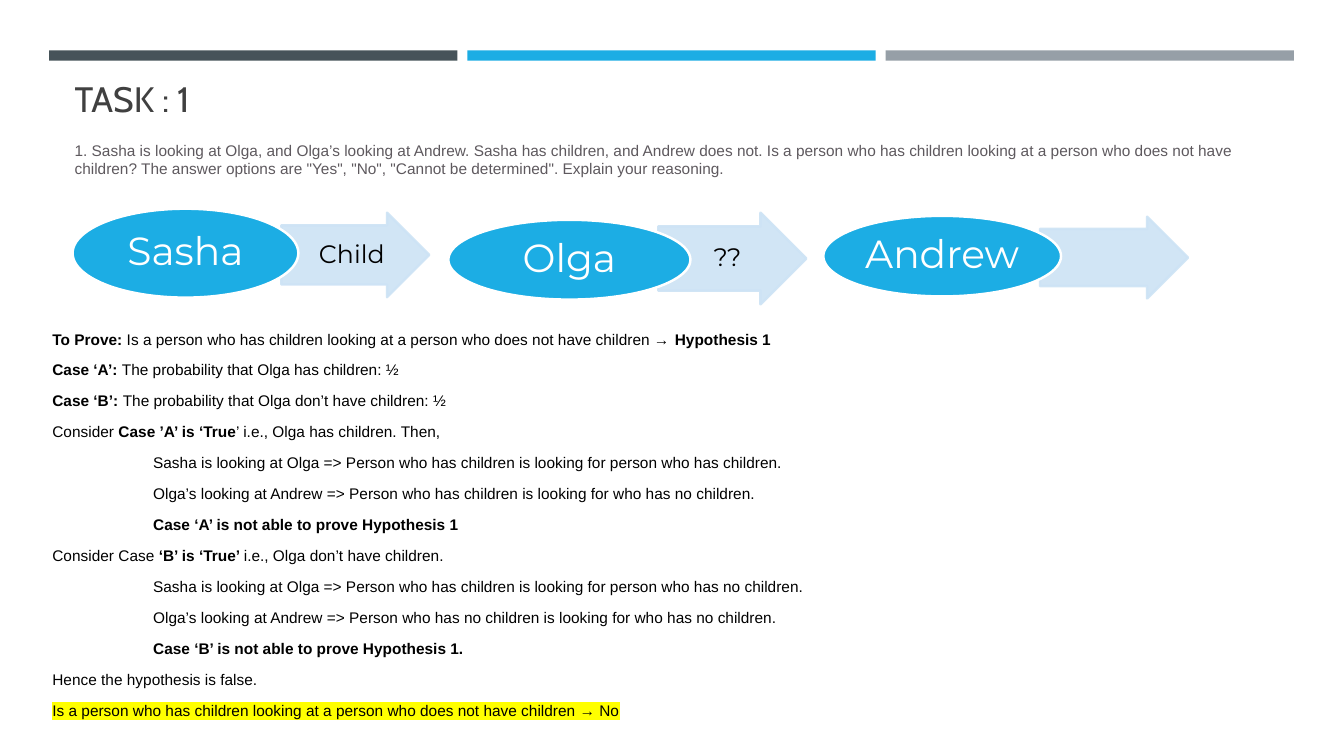
from lxml import etree
from pptx import Presentation
from pptx.dml.color import RGBColor
from pptx.enum.shapes import MSO_SHAPE
from pptx.enum.text import MSO_ANCHOR, PP_ALIGN
from pptx.oxml.ns import qn
from pptx.util import Cm, Pt

RECT, OVAL, ARROW = MSO_SHAPE.RECTANGLE, MSO_SHAPE.OVAL, MSO_SHAPE.RIGHT_ARROW
CENTER = PP_ALIGN.CENTER
TOP, MIDDLE, BOTTOM = MSO_ANCHOR.TOP, MSO_ANCHOR.MIDDLE, MSO_ANCHOR.BOTTOM

SLATE = RGBColor(0x46, 0x53, 0x59)
BLUE = RGBColor(0x1C, 0xAD, 0xE4)
GRAY = RGBColor(0x96, 0x9F, 0xA7)
PALE = RGBColor(0xCD, 0xE3, 0xF5)
DARK = RGBColor(0x40, 0x40, 0x40)
MUTED = RGBColor(0x5E, 0x59, 0x5E)
BLACK = RGBColor(0, 0, 0)
WHITE = RGBColor(0xFF, 0xFF, 0xFF)

TASK = (
    "1. Sasha is looking at Olga, and Olga’s looking at Andrew. Sasha has children, "
    "and Andrew does not. Is a person who has children looking at a person who does "
    "not have children? The answer options are \"Yes\", \"No\", \"Cannot be "
    "determined\". Explain your reasoning."
)

# Name, oval box, arrow label, arrow box
CHAIN = [
    ("Sasha", (1.83, 5.26, 5.69, 2.24), "Child", (7.09, 5.36, 3.73, 2.13)),
    ("Olga", (11.3, 5.54, 6.1, 2.01), "??", (16.59, 5.36, 3.73, 2.31)),
    ("Andrew", (20.75, 5.44, 5.99, 2.03), "", (26.21, 5.46, 3.73, 2.06)),
]

# Indent level and text; ** switches bold on and off
PROOF = [
    (0, "**To Prove: **Is a person who has children looking at a person who does "
        "not have children → **Hypothesis 1**"),
    (0, "**Case ‘A’: **The probability that Olga has children: ½"),
    (0, "**Case ‘B’: **The probability that Olga don’t have children: ½"),
    (0, "Consider **Case ’A’ is ‘True**’ i.e., Olga has children. Then,"),
    (1, "Sasha is looking at Olga => Person who has children is looking for person "
        "who has children."),
    (1, "Olga’s looking at Andrew => Person who has children is looking for who has "
        "no children."),
    (1, "**Case ‘A’ is not able to prove Hypothesis 1**"),
    (0, "Consider Case **‘B’ is ‘True’ **i.e., Olga don’t have children."),
    (1, "Sasha is looking at Olga => Person who has children is looking for person "
        "who has no children."),
    (1, "Olga’s looking at Andrew => Person who has no children is looking for who "
        "has no children."),
    (1, "**Case ‘B’ is not able to prove Hypothesis 1.**"),
    (0, "Hence the hypothesis is false."),
]
ANSWER = ("Is a person who has children looking at a person who does not have "
          "children → No")


def style(run, font, size, color, bold=False):
    run.font.name = font
    run.font.size = Pt(size)
    run.font.color.rgb = color
    run.font.bold = bold


def fade(part):
    """Make every colour under this XML element 90% opaque."""
    for color in part.iter(qn("a:srgbClr")):
        etree.SubElement(color, qn("a:alpha")).set("val", "90000")


def mark(run):
    """Put a yellow highlight behind a run that has a colour."""
    light = etree.Element(qn("a:highlight"))
    etree.SubElement(light, qn("a:srgbClr")).set("val", "FFFF00")
    run.font.fill._xPr.find(qn("a:solidFill")).addnext(light)


def add_block(slide, kind, box, fill, edge=None):
    block = slide.shapes.add_shape(kind, *map(Cm, box))
    block.shadow.inherit = False
    block.fill.solid()
    block.fill.fore_color.rgb = fill
    if edge is None:
        block.line.fill.background()
    else:
        block.line.color.rgb = edge
        block.line.width = Pt(1.75)
    return block


def set_label(block, text, size, color, left=0.05, right=0.05):
    frame = block.text_frame
    frame.word_wrap = False
    frame.vertical_anchor = MIDDLE
    frame.margin_left, frame.margin_right = Cm(left), Cm(right)
    frame.margin_top = frame.margin_bottom = Cm(0.05)
    frame.text = text
    para = frame.paragraphs[0]
    para.alignment = CENTER
    para.line_spacing = 0.9
    style(para.runs[0], "Montserrat", size, color)


def add_frame(slide, box, anchor=TOP):
    frame = slide.shapes.add_textbox(*map(Cm, box)).text_frame
    frame.word_wrap = True
    frame.vertical_anchor = anchor
    return frame


def add_text(slide, box, text, font, size, color, anchor=TOP):
    frame = add_frame(slide, box, anchor)
    frame.text = text
    style(frame.paragraphs[0].runs[0], font, size, color)


def add_arrow(slide, box, text):
    arrow = add_block(slide, ARROW, box, PALE, PALE)
    arrow.adjustments[0] = 0.7
    fade(arrow.element.spPr)
    if text:
        set_label(arrow, text, 18, BLACK, 1.07, 0.5)


def add_line(para, level, text):
    """Fill a proof paragraph, with bold between ** marks."""
    para.line_spacing = 1.07
    para.space_after = Pt(8)
    if level:
        props = para._p.get_or_add_pPr()
        props.set("marL", str(Cm(2.54) * level))
        props.set("indent", "0")
    for index, piece in enumerate(text.split("**")):
        if piece:
            run = para.add_run()
            run.text = piece
            style(run, "Arial", 11, BLACK, index % 2 == 1)


def add_proof(slide):
    frame = add_frame(slide, (1.07, 8.15, 30.96, 10.49))
    for index, (level, text) in enumerate(PROOF):
        para = frame.add_paragraph() if index else frame.paragraphs[0]
        add_line(para, level, text)
    last = frame.add_paragraph()
    add_line(last, 0, ANSWER)
    mark(last.runs[0])


def main():
    deck = Presentation()
    deck.slide_width, deck.slide_height = Cm(33.87), Cm(19.05)
    slide = deck.slides.add_slide(deck.slide_layouts[6])

    for index, color in enumerate((SLATE, BLUE, GRAY)):
        add_block(slide, RECT, (1.24 + 10.54 * index, 1.27, 10.29, 0.26), color)
    add_text(slide, (1.63, 1.96, 3.96, 1.19), "TASK : 1", "Cabin", 25.2, DARK, BOTTOM)
    add_text(slide, (1.63, 3.43, 30.43, 1.19), TASK, "Arial", 11, MUTED)

    for name, oval, label, arrow in CHAIN:
        add_arrow(slide, arrow, label)
        set_label(add_block(slide, OVAL, oval, BLUE, WHITE), name, 28, WHITE)
    add_proof(slide)

    deck.save("out.pptx")


if __name__ == "__main__":
    main()
